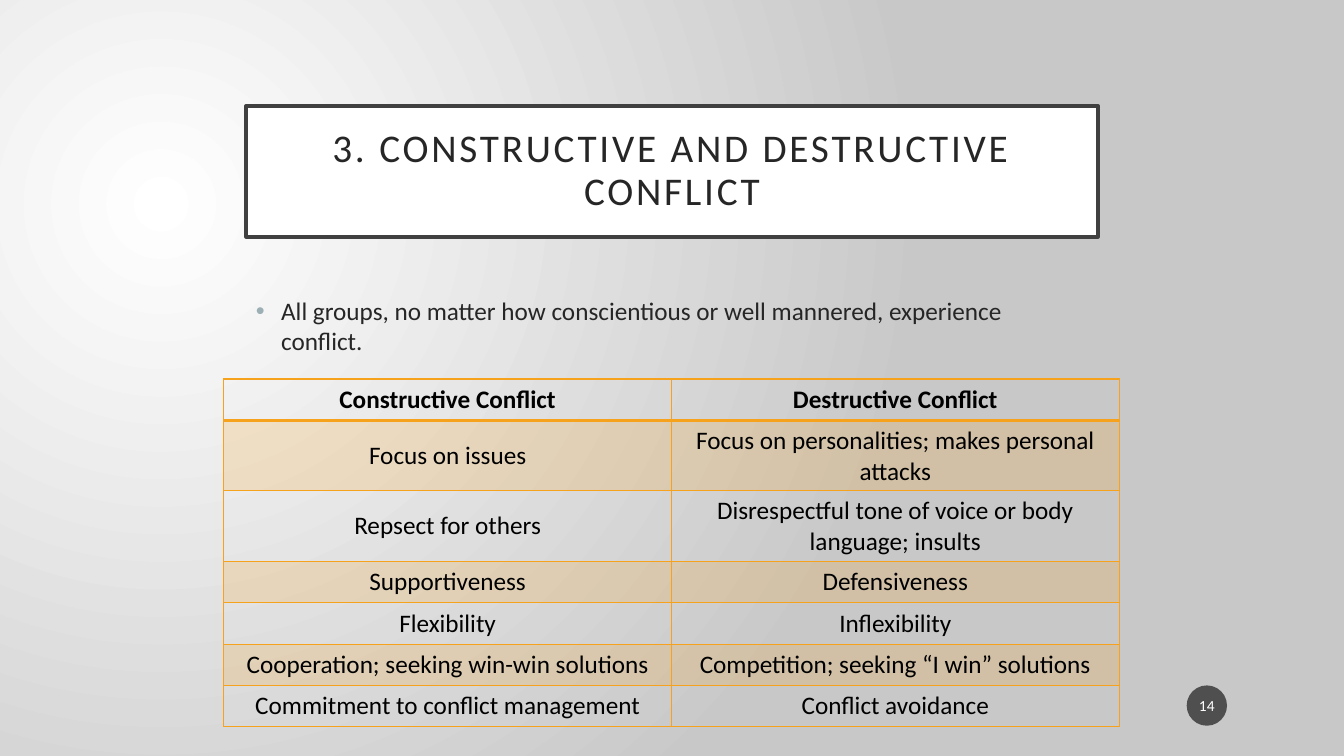
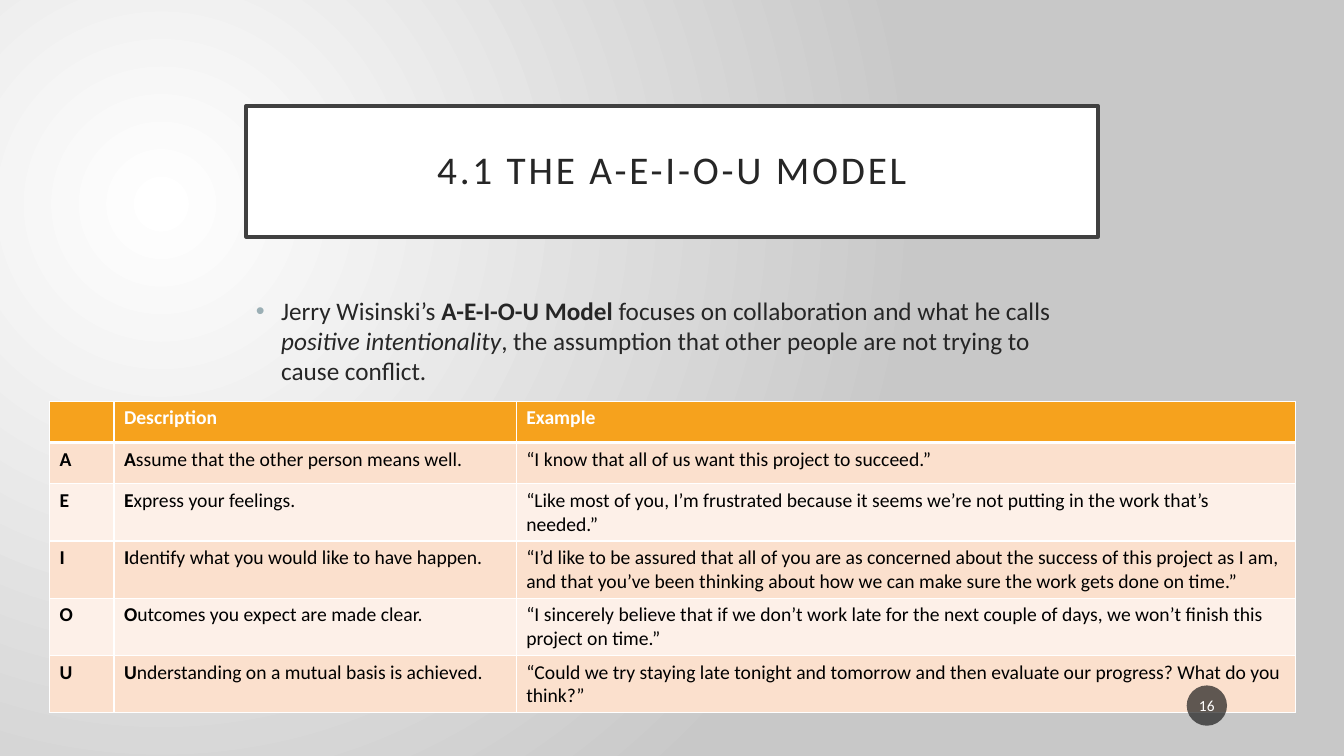
"""Build two slides on group conflict, each with a boxed title, a bullet and a table."""
from dataclasses import dataclass
from typing import NamedTuple, Optional

from lxml.etree import SubElement
from pptx import Presentation
from pptx.dml.color import RGBColor
from pptx.enum.shapes import MSO_SHAPE as Shape
from pptx.enum.text import MSO_ANCHOR as Anchor, MSO_AUTO_SIZE as AutoSize, PP_ALIGN as Align
from pptx.oxml import parse_xml
from pptx.oxml.ns import nsdecls, qn
from pptx.util import Emu, Pt

EMU_PER_PX = 9144
FONT = "Calibri"
WHITE, BLACK, INK = "FFFFFF", "000000", "262626"
FRAME, BADGE, BULLET, BACKDROP = "404040", "1D1D1D", "9BAFB5", "C8C8C8"
ORANGE, PEACH, CREAM = "F6A21D", "FBE0CD", "FDF0E8"
NO_TABLE_STYLE = "{2D5ABB26-0587-4C30-8999-92F81FD0307C}"


class Box(NamedTuple):
    left: int
    top: int
    width: int
    height: int


class Span(NamedTuple):
    text: str
    bold: bool = False
    italic: bool = False


class Paint(NamedTuple):
    color: str
    opacity: int = 100


@dataclass(frozen=True)
class TableStyle:
    size: int
    border: str
    header_rule: int
    header_ink: str
    header_fill: Optional[Paint]
    bands: tuple[Optional[Paint], Optional[Paint]]
    align: Align
    anchor: Anchor


@dataclass(frozen=True)
class TableSlide:
    number: int
    title: str
    intro: list[Span]
    intro_height: int
    left: int
    top: int
    columns: list[int]
    rows: list[list[list[Span]]]
    style: TableStyle


TITLE_BOX = Box(244, 105, 845, 130)
NUMBER_BOX = Box(1177, 680, 40, 40)
INTRO_TOP = 288
ROW_HEIGHT = 41

GRID_STYLE = TableStyle(18, ORANGE, 2, BLACK, None, (Paint(ORANGE, 20), None),
                        Align.CENTER, Anchor.MIDDLE)
BANDED_STYLE = TableStyle(14, WHITE, 3, WHITE, Paint(ORANGE), (Paint(PEACH), Paint(CREAM)),
                          Align.LEFT, Anchor.TOP)

CONFLICT_PAIRS = [
    ("Focus on issues", "Focus on personalities; makes personal attacks"),
    ("Repsect for others", "Disrespectful tone of voice or body language; insults"),
    ("Supportiveness", "Defensiveness"),
    ("Flexibility", "Inflexibility"),
    ("Cooperation; seeking win-win solutions", "Competition; seeking “I win” solutions"),
    ("Commitment to conflict management", "Conflict avoidance"),
]
MODEL_STEPS = [
    ("Assume that the other person means well.",
     "“I know that all of us want this project to succeed.”"),
    ("Express your feelings.",
     "“Like most of you, I’m frustrated because it seems we’re not putting in the work "
     "that’s needed.”"),
    ("Identify what you would like to have happen.",
     "“I’d like to be assured that all of you are as concerned about the success of this "
     "project as I am, and that you’ve been thinking about how we can make sure the work "
     "gets done on time.”"),
    ("Outcomes you expect are made clear.",
     "“I sincerely believe that if we don’t work late for the next couple of days, we won’t "
     "finish this project on time.”"),
    ("Understanding on a mutual basis is achieved.",
     "“Could we try staying late tonight and tomorrow and then evaluate our progress? What "
     "do you think?”"),
]


def header_row(*labels: str) -> list[list[Span]]:
    """Return a row of bold labels, with empty cells where a label is blank."""
    return [[Span(label, bold=True)] if label else [] for label in labels]


def step_row(description: str, example: str) -> list[list[Span]]:
    """Return a model row whose initial is set in bold."""
    initial = Span(description[0], bold=True)
    return [[initial], [initial, Span(description[1:])], [Span(example)]]


SLIDES = [
    TableSlide(
        14, "3. CONSTRUCTIVE AND DESTRUCTIVE CONFLICT",
        [Span("All groups, no matter how conscientious or well mannered, experience conflict.")],
        77, 222, 376, [444, 444],
        [header_row("Constructive Conflict", "Destructive Conflict"),
         *([[Span(text)] for text in pair] for pair in CONFLICT_PAIRS)],
        GRID_STYLE),
    TableSlide(
        16, "4.1 THE A-E-I-O-U MODEL",
        [Span("Jerry Wisinski’s "), Span("A-E-I-O-U Model", bold=True),
         Span(" focuses on collaboration and what he calls "),
         Span("positive intentionality", italic=True),
         Span(", the assumption that other people are not trying to cause conflict.")],
        110, 49, 398, [64, 399, 773],
        [header_row("", "Description", "Example"), *(step_row(*step) for step in MODEL_STEPS)],
        BANDED_STYLE),
]


def px(length: int) -> Emu:
    """Turn pixels into EMU."""
    return Emu(length * EMU_PER_PX)


def rgb(color: str) -> RGBColor:
    """Turn a hex string into a colour."""
    return RGBColor.from_string(color)


def place(box: Box) -> tuple[Emu, ...]:
    """Return the box's four lengths in EMU."""
    return tuple(px(length) for length in box)


def set_fill(owner, element, paint: Optional[Paint]) -> None:
    """Fill a shape or cell, with transparency where asked."""
    if paint is None:
        owner.fill.background()
        return
    owner.fill.solid()
    owner.fill.fore_color.rgb = rgb(paint.color)
    if paint.opacity < 100:
        color = element.xpath(".//a:solidFill/a:srgbClr")[0]
        SubElement(color, qn("a:alpha"), val=str(paint.opacity * 1000))


def set_margins(frame, horizontal: int, vertical: int) -> None:
    """Set the inner margins of a text frame."""
    frame.margin_left = frame.margin_right = px(horizontal)
    frame.margin_top = frame.margin_bottom = px(vertical)


def add_spans(paragraph, spans: list[Span], size: int, color: str) -> None:
    """Add formatted runs to a paragraph."""
    for span in spans:
        run = paragraph.add_run()
        run.text = span.text
        font = run.font
        font.name, font.size, font.color.rgb = FONT, Pt(size), rgb(color)
        font.bold, font.italic = span.bold, span.italic


def set_background(master) -> None:
    """Give the master a circular light gradient."""
    master.background.fill.solid()
    properties = master.element.xpath("p:cSld/p:bg/p:bgPr")[0]
    gradient = parse_xml(
        f'<a:gradFill {nsdecls("a")} rotWithShape="1"><a:gsLst>'
        f'<a:gs pos="0"><a:srgbClr val="{WHITE}"/></a:gs>'
        f'<a:gs pos="100000"><a:srgbClr val="{BACKDROP}"/></a:gs></a:gsLst>'
        '<a:path path="circle"><a:fillToRect l="50000" t="55000" r="125000" b="100000"/>'
        '</a:path></a:gradFill>')
    properties.replace(properties[0], gradient)


def format_title(title, text: str) -> None:
    """Place the title placeholder and draw it as a framed box."""
    title.left, title.top, title.width, title.height = place(TITLE_BOX)
    set_fill(title, title.element, Paint(WHITE))
    title.line.color.rgb = rgb(FRAME)
    title.line.width = Pt(2.5)
    frame = title.text_frame
    frame.auto_size, frame.word_wrap = AutoSize.NONE, True
    frame.vertical_anchor = Anchor.MIDDLE
    set_margins(frame, 20, 20)
    paragraph = frame.paragraphs[0]
    paragraph.alignment, paragraph.line_spacing = Align.CENTER, 0.9
    add_spans(paragraph, [Span(text)], 28, INK)
    for run in paragraph.runs:
        run.font._element.set("spc", "200")


def add_intro(slide, spans: list[Span], height: int) -> None:
    """Add the bulleted sentence under the title."""
    box = Box(TITLE_BOX.left, INTRO_TOP, TITLE_BOX.width, height)
    frame = slide.shapes.add_textbox(*place(box)).text_frame
    frame.word_wrap = True
    paragraph = frame.paragraphs[0]
    properties = paragraph._p.get_or_add_pPr()
    properties.set("marL", str(px(25)))
    properties.set("indent", str(px(-25)))
    SubElement(SubElement(properties, qn("a:buClr")), qn("a:srgbClr"), val=BULLET)
    SubElement(properties, qn("a:buFont"), typeface="Arial")
    SubElement(properties, qn("a:buChar"), char="•")
    add_spans(paragraph, spans, 18, INK)


def set_borders(cell, color: str, top: int, bottom: int) -> None:
    """Draw the four cell borders, with 1 pt sides."""
    properties = cell._tc.get_or_add_tcPr()
    widths = {"lnL": 1, "lnR": 1, "lnT": top, "lnB": bottom}
    for index, (tag, width) in enumerate(widths.items()):
        properties.insert(index, parse_xml(
            f'<a:{tag} {nsdecls("a")} w="{Pt(width)}"><a:solidFill>'
            f'<a:srgbClr val="{color}"/></a:solidFill></a:{tag}>'))


def add_table(slide, content: TableSlide) -> None:
    """Add the table with its header, bands and borders."""
    style, rows, columns = content.style, content.rows, content.columns
    box = Box(content.left, content.top, sum(columns), ROW_HEIGHT * len(rows))
    table = slide.shapes.add_table(len(rows), len(columns), *place(box)).table
    table._tbl.tblPr.find(qn("a:tableStyleId")).text = NO_TABLE_STYLE
    table.horz_banding = False
    for column, width in zip(table.columns, columns):
        column.width = px(width)
    for row_index, row in enumerate(rows):
        table.rows[row_index].height = px(ROW_HEIGHT)
        is_header = row_index == 0
        paint = style.header_fill if is_header else style.bands[(row_index - 1) % 2]
        top = style.header_rule if row_index == 1 else 1
        bottom = style.header_rule if is_header else 1
        for column_index, spans in enumerate(row):
            cell = table.cell(row_index, column_index)
            set_fill(cell, cell._tc, paint)
            set_borders(cell, style.border, top, bottom)
            cell.vertical_anchor = style.anchor
            paragraph = cell.text_frame.paragraphs[0]
            paragraph.alignment = style.align
            add_spans(paragraph, spans, style.size, style.header_ink if is_header else BLACK)


def add_number(slide, number: int) -> None:
    """Add the round slide number badge."""
    badge = slide.shapes.add_shape(Shape.OVAL, *place(NUMBER_BOX))
    badge.shadow.inherit = False
    set_fill(badge, badge.element.spPr, Paint(BADGE, 70))
    badge.line.fill.background()
    frame = badge.text_frame
    frame.vertical_anchor = Anchor.MIDDLE
    set_margins(frame, 2, 5)
    paragraph = frame.paragraphs[0]
    paragraph.alignment = Align.CENTER
    add_spans(paragraph, [Span(str(number))], 11, WHITE)


def main() -> None:
    """Build and save the presentation."""
    presentation = Presentation()
    presentation.slide_width, presentation.slide_height = px(1333), px(750)
    set_background(presentation.slide_master)
    layout = presentation.slide_layouts.get_by_name("Title Only")
    for content in SLIDES:
        slide = presentation.slides.add_slide(layout)
        format_title(slide.shapes.title, content.title)
        add_intro(slide, content.intro, content.intro_height)
        add_table(slide, content)
        add_number(slide, content.number)
    presentation.save("out.pptx")


if __name__ == "__main__":
    main()
